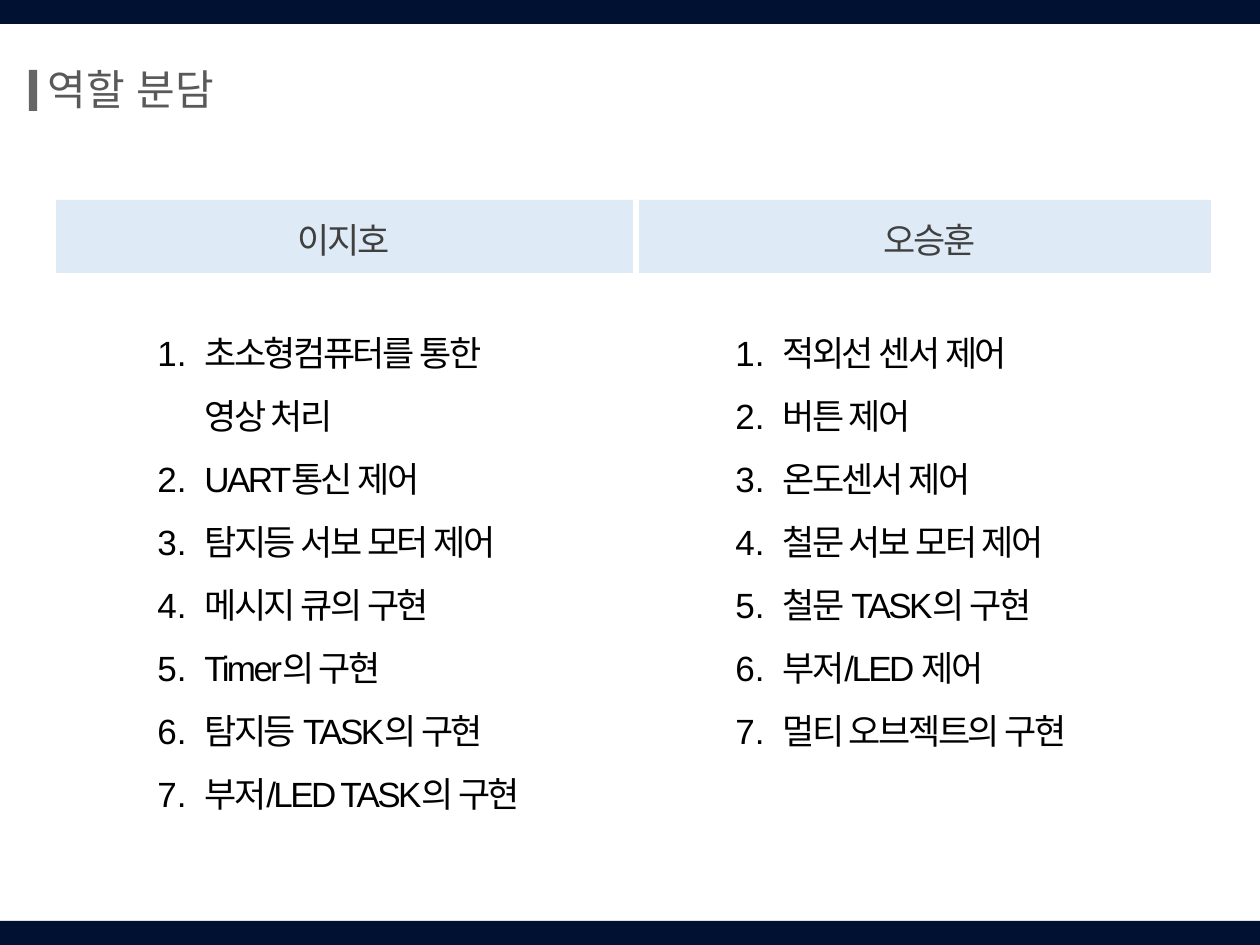
from lxml.etree import SubElement
from pptx import Presentation
from pptx.dml.color import RGBColor
from pptx.enum.shapes import MSO_CONNECTOR, MSO_SHAPE
from pptx.enum.text import MSO_ANCHOR, MSO_AUTO_SIZE, PP_ALIGN
from pptx.oxml.ns import qn
from pptx.util import Emu, Pt

EMU_PER_PX = 914400 / 126
WIDTH, HEIGHT = 1260, 945
INDENT = 47
FONT = "Arial"

MEMBERS = [
    # name, header left, list left, list width, list height, tasks
    ("이지호", 58, 145, 444, 513, [
        "초소형컴퓨터를 통한\v영상 처리",
        "UART통신 제어",
        "탐지등 서보 모터 제어",
        "메시지 큐의 구현",
        "Timer의 구현",
        "탐지등 TASK의 구현",
        "부저/LED TASK의 구현",
    ]),
    ("오승훈", 644, 723, 392, 577, [
        "적외선 센서 제어",
        "버튼 제어",
        "온도센서 제어",
        "철문 서보 모터 제어",
        "철문 TASK의 구현",
        "부저/LED 제어",
        "멀티 오브젝트의 구현",
    ]),
]


def px(length):
    return Emu(round(length * EMU_PER_PX))


def color(value):
    return RGBColor.from_string(value)


def add_bar(page, left, top, width, height, fill):
    bar = page.shapes.add_shape(
        MSO_SHAPE.RECTANGLE, px(left), px(top), px(width), px(height))
    bar.shadow.inherit = False
    bar.fill.solid()
    bar.fill.fore_color.rgb = color(fill)
    bar.line.fill.background()


def add_line(page, start, end, stroke, weight, opacity=100):
    line = page.shapes.add_connector(
        MSO_CONNECTOR.STRAIGHT, *map(px, start + end))
    line.line.color.rgb = color(stroke)
    line.line.width = Pt(weight)
    properties = line._element.spPr
    if opacity < 100:
        tint = properties.find(".//" + qn("a:srgbClr"))
        SubElement(tint, qn("a:alpha"), val=str(opacity * 1000))
    SubElement(properties, qn("a:effectLst"))


def number_paragraph(para):
    properties = para._p.get_or_add_pPr()
    properties.set("marL", str(px(INDENT)))
    properties.set("indent", str(-px(INDENT)))
    SubElement(properties, qn("a:buFont"), typeface="+mj-lt")
    SubElement(properties, qn("a:buAutoNum"), type="arabicPeriod")


def write_text(box, lines, size=20, ink="000000", align=PP_ALIGN.LEFT,
               tracking=0, spacing=None, numbered=False):
    frame = box.text_frame
    frame.word_wrap = True
    frame.auto_size = MSO_AUTO_SIZE.SHAPE_TO_FIT_TEXT
    frame.vertical_anchor = MSO_ANCHOR.TOP
    for index, line in enumerate(lines):
        para = frame.add_paragraph() if index else frame.paragraphs[0]
        para.text = line
        para.alignment = align
        if numbered:
            number_paragraph(para)
        if spacing:
            para.line_spacing = spacing
        for span in para.runs:
            span.font.size = Pt(size)
            span.font.color.rgb = color(ink)
            span.font.name = FONT
            properties = span._r.get_or_add_rPr()
            SubElement(properties, qn("a:ea"), typeface=FONT)
            if tracking:
                properties.set("spc", str(round(tracking * 100)))


def add_text(page, left, top, width, height, lines, **text_format):
    box = page.shapes.add_textbox(px(left), px(top), px(width), px(height))
    write_text(box, lines, **text_format)


def set_title(page, text):
    title = page.shapes.title
    title.left, title.top = px(35), px(57)
    title.width, title.height = px(320), px(63)
    write_text(title, [text], size=24, ink="595959", spacing=1.0)


def main():
    deck = Presentation()
    deck.slide_width, deck.slide_height = px(WIDTH), px(HEIGHT)
    page = deck.slides.add_slide(deck.slide_layouts[5])

    # Frame bars and title
    for top in (0, HEIGHT - 24):
        add_bar(page, 0, top, WIDTH, 24, "001132")
    add_line(page, (0, 170), (WIDTH, 170), "FFFFFF", 4.25)
    set_title(page, "역할 분담")
    add_line(page, (33, 70), (33, 111), "404040", 4.75, opacity=80)

    # Header band split in two
    add_bar(page, 56, 200, 1155, 73, "DEEBF7")
    add_line(page, (636, 200), (636, 290), "FFFFFF", 3)

    # Names and task lists
    for name, header_left, left, width, height, tasks in MEMBERS:
        add_text(page, header_left, 212, 571, 55, [name], ink="404040",
                 align=PP_ALIGN.CENTER, tracking=-1.5)
        add_text(page, left, 304, width, height, tasks, tracking=-1.5,
                 spacing=1.5, numbered=True)

    deck.save("out.pptx")


if __name__ == "__main__":
    main()
